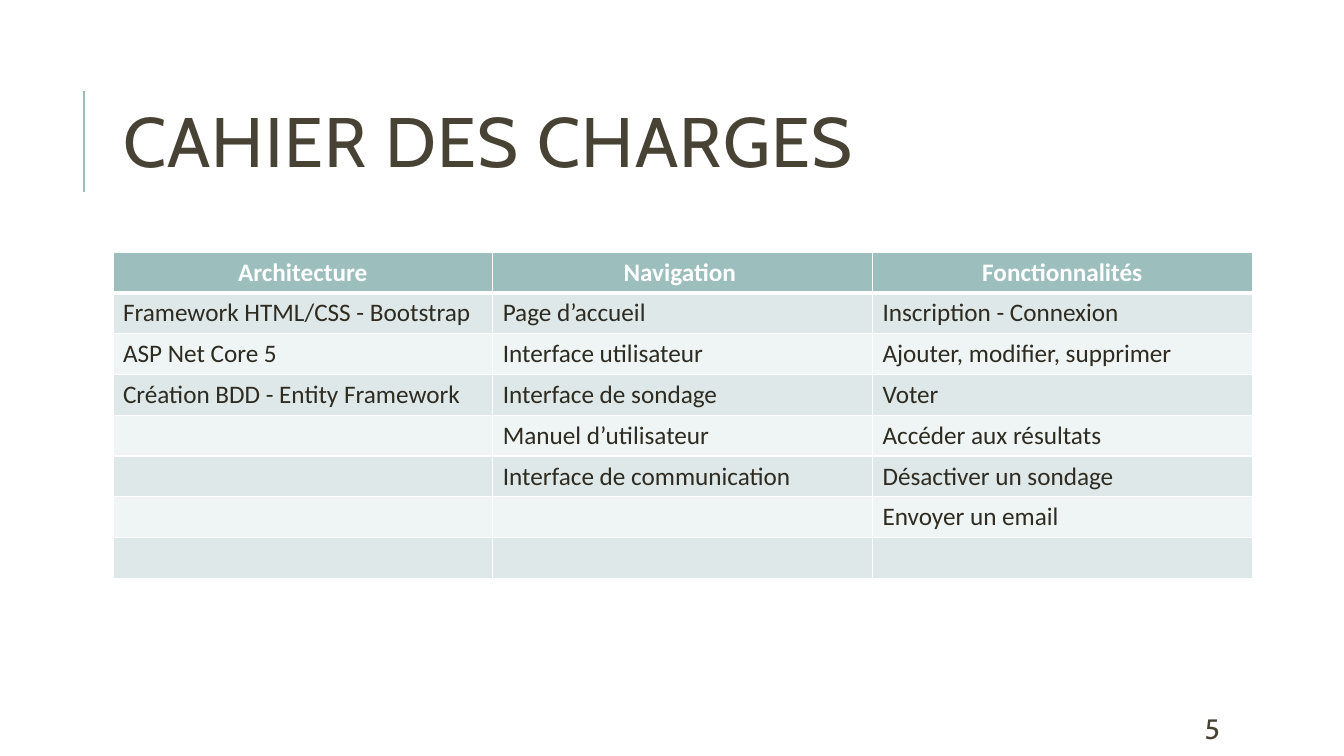
from lxml.etree import SubElement
from pptx import Presentation
from pptx.dml.color import RGBColor
from pptx.enum.text import MSO_ANCHOR, PP_ALIGN
from pptx.oxml import parse_xml
from pptx.oxml.ns import nsdecls, qn
from pptx.util import Inches, Pt

COLORS = {
    "teal": "9CBEBD",
    "band": "DEE8E8",
    "pale": "EFF4F4",
    "title": "474233",
    "text": "2E2B21",
    "white": "FFFFFF",
}

ROWS = [
    ["Architecture", "Navigation ", "Fonctionnalités"],
    ["Framework HTML/CSS - Bootstrap", "Page d’accueil", "Inscription - Connexion"],
    ["ASP Net Core 5", "Interface utilisateur", "Ajouter, modifier, supprimer"],
    ["Création BDD - Entity Framework", "Interface de sondage", "Voter"],
    ["", "Manuel d’utilisateur", "Accéder aux résultats"],
    ["", "Interface de communication", "Désactiver un sondage"],
    ["", "", "Envoyer un email"],
    ["", "", ""],
]


def rgb(name):
    return RGBColor.from_string(COLORS[name])


def style(para, face, size, color, bold=False, align=PP_ALIGN.LEFT):
    para.alignment = align
    font = para.font
    font.name, font.size, font.bold = face, Pt(size), bold
    font.color.rgb = rgb(color)


def place(shape, left, top, width, height):
    shape.left, shape.top = Inches(left), Inches(top)
    shape.width, shape.height = Inches(width), Inches(height)


def add_title(slide, text):
    title = slide.shapes.title
    place(title, 1.12, 0.64, 10.63, 1.64)
    frame = title.text_frame
    frame.text = text
    frame.word_wrap = True
    frame.vertical_anchor = MSO_ANCHOR.MIDDLE
    para = frame.paragraphs[0]
    style(para, "Cabin", 50, "title")
    para.line_spacing = 0.8
    para.runs[0].font._element.set("spc", "100")


def add_rule(slide):
    rule = slide.shapes.add_connector(
        1, Inches(0.83), Inches(1.9), Inches(0.83), Inches(0.9))
    rule.line.color.rgb = rgb("teal")
    rule.line.width = Pt(1.5)
    SubElement(rule._element.spPr, qn("a:effectLst"))


def add_number(slide, text):
    box = slide.shapes.add_textbox(
        Inches(11.85), Inches(7.08), Inches(1.06), Inches(0.3))
    frame = box.text_frame
    frame.text = text
    frame.word_wrap = True
    frame.vertical_anchor = MSO_ANCHOR.MIDDLE
    style(frame.paragraphs[0], "Cabin", 20, "title")


def add_edges(cell, top, bottom):
    props = cell._tc.get_or_add_tcPr()
    for side, width in (("L", 1), ("R", 1), ("T", top), ("B", bottom)):
        props.append(parse_xml(
            f'<a:ln{side} {nsdecls("a")} w="{Pt(width)}"><a:solidFill>'
            f'<a:srgbClr val="{COLORS["white"]}"/></a:solidFill></a:ln{side}>'))


def fill_cell(cell, text, row):
    head = row == 0
    add_edges(cell, 3 if row == 1 else 1, 3 if head else 1)
    cell.fill.solid()
    cell.fill.fore_color.rgb = rgb("teal" if head else "band" if row % 2 else "pale")
    cell.text = text
    style(cell.text_frame.paragraphs[0], "Calibri", 18,
          "white" if head else "text", head,
          PP_ALIGN.CENTER if head else PP_ALIGN.LEFT)


def add_grid(slide, rows):
    grid = slide.shapes.add_table(
        len(rows), len(rows[0]),
        Inches(1.12), Inches(2.5), Inches(11.3), Inches(3.24)).table
    for row, texts in enumerate(rows):
        for col, text in enumerate(texts):
            fill_cell(grid.cell(row, col), text, row)


def main():
    deck = Presentation()
    deck.slide_width, deck.slide_height = Inches(13.33), Inches(7.5)
    slide = deck.slides.add_slide(deck.slide_layouts[5])
    add_rule(slide)
    add_title(slide, "CAHIER DES CHARGES")
    add_number(slide, "5")
    add_grid(slide, ROWS)
    deck.save("out.pptx")


if __name__ == "__main__":
    main()
